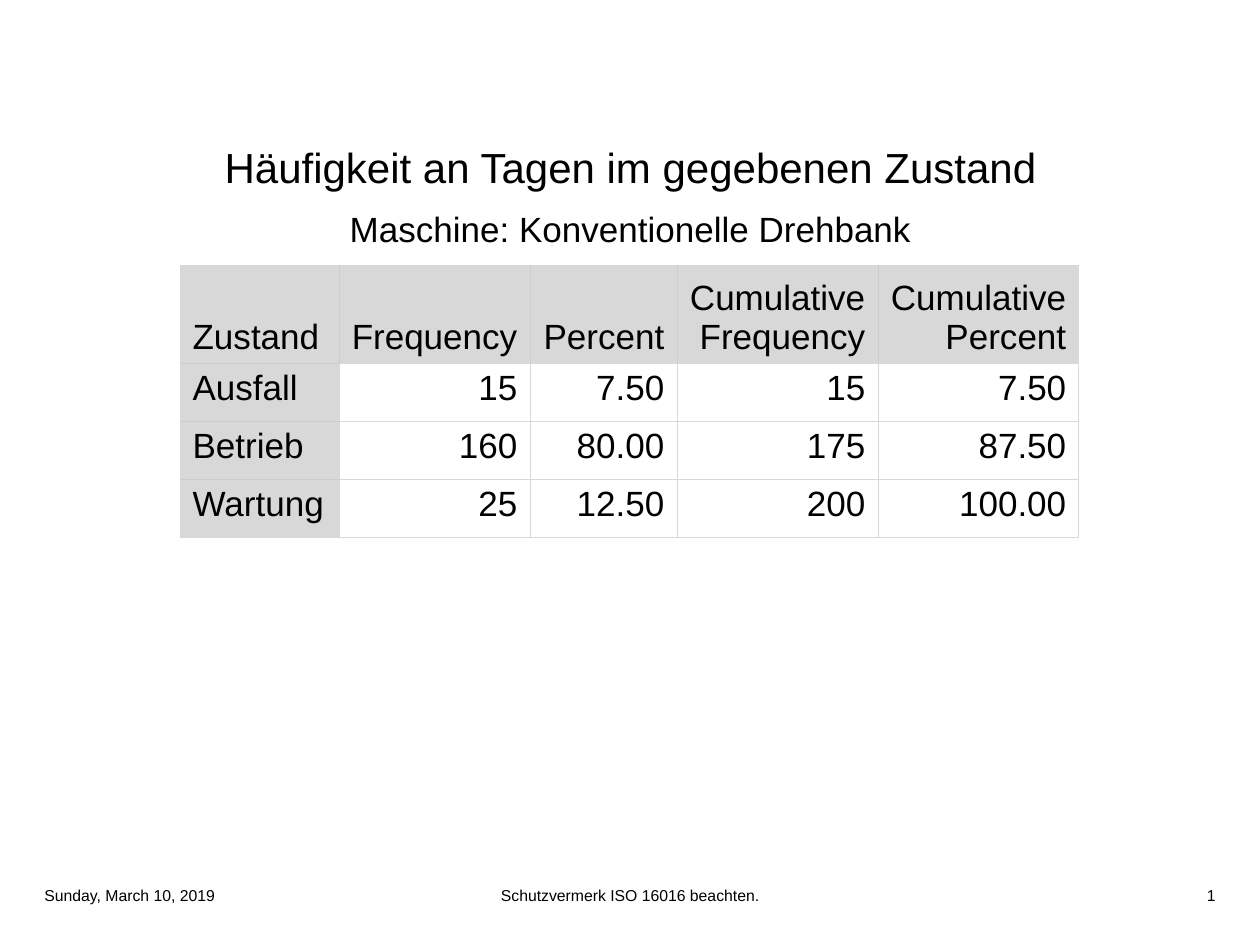
from lxml import etree
from pptx import Presentation
from pptx.dml.color import RGBColor
from pptx.enum.text import MSO_ANCHOR, PP_ALIGN
from pptx.oxml.ns import qn
from pptx.util import Pt

LEFT, CENTER, RIGHT = PP_ALIGN.LEFT, PP_ALIGN.CENTER, PP_ALIGN.RIGHT
TOP, MIDDLE, BOTTOM = MSO_ANCHOR.TOP, MSO_ANCHOR.MIDDLE, MSO_ANCHOR.BOTTOM
PIXEL = 914400 // 126
GREY, INNER_GREY = "D8D8D8", "CCCCCC"


def write(frame, text, size=20, align=LEFT, anchor=MIDDLE, color="000000"):
    frame.word_wrap = True
    frame.vertical_anchor = anchor
    paragraph = frame.paragraphs[0]
    paragraph.text = text
    paragraph.alignment = align
    for run in paragraph.runs:
        run.font.name = "Arial"
        run.font.size = Pt(size)
        run.font.color.rgb = RGBColor.from_string(color)


def add_border(cell, side, color):
    line = etree.SubElement(cell._tc.get_or_add_tcPr(), qn("a:" + side), w=str(Pt(0.5)))
    fill = etree.SubElement(line, qn("a:solidFill"))
    etree.SubElement(fill, qn("a:srgbClr"), val=color)


presentation = Presentation()
presentation.slide_width = 1260 * PIXEL
presentation.slide_height = 945 * PIXEL
slide = presentation.slides.add_slide(presentation.slide_layouts[6])

# Titles and footer
texts = [
    ("Häufigkeit an Tagen im gegebenen Zustand", 32, 134, 1197, 65, 24, CENTER),
    ("Maschine: Konventionelle Drehbank", 32, 199, 1197, 58, 20, CENTER),
    ("Sunday, March 10, 2019", 32, 878, 299, 35, 9, LEFT),
    ("Schutzvermerk ISO 16016 beachten.", 331, 878, 598, 35, 9, CENTER),
    ("1", 929, 878, 299, 35, 9, RIGHT),
]
for text, left, top, width, height, size, align in texts:
    box = slide.shapes.add_textbox(left * PIXEL, top * PIXEL, width * PIXEL, height * PIXEL)
    write(box.text_frame, text, size=size, align=align)

# Frequency table
rows = [
    ["Zustand", "Frequency", "Percent", "Cumulative\vFrequency", "Cumulative\vPercent"],
    ["Ausfall", "15", "7.50", "15", "7.50"],
    ["Betrieb", "160", "80.00", "175", "87.50"],
    ["Wartung", "25", "12.50", "200", "100.00"],
]
column_widths = [159, 191, 147, 201, 201]
row_heights = [98, 58, 58, 58]
last_row, last_column = len(rows) - 1, len(column_widths) - 1
table = slide.shapes.add_table(
    len(rows), len(column_widths), 180 * PIXEL, 265 * PIXEL,
    sum(column_widths) * PIXEL, sum(row_heights) * PIXEL).table
table.first_row = table.horz_banding = False
for column, width in zip(table.columns, column_widths):
    column.width = width * PIXEL
for row, height in zip(table.rows, row_heights):
    row.height = height * PIXEL

for i, values in enumerate(rows):
    for j, value in enumerate(values):
        cell = table.cell(i, j)
        write(cell.text_frame, value, align=RIGHT if j else LEFT)
        cell.vertical_anchor = TOP if i else BOTTOM
        is_heading = i == 0 or j == 0

        # Heading cells have darker lines towards their neighbours
        outer_edges = {"lnL": j == 0, "lnR": j == last_column,
                       "lnT": i == 0, "lnB": i == last_row}
        for side, is_outer in outer_edges.items():
            add_border(cell, side, INNER_GREY if is_heading and not is_outer else GREY)

        if is_heading:
            cell.fill.solid()
            cell.fill.fore_color.rgb = RGBColor.from_string(GREY)
        else:
            cell.fill.background()

presentation.save("out.pptx")
